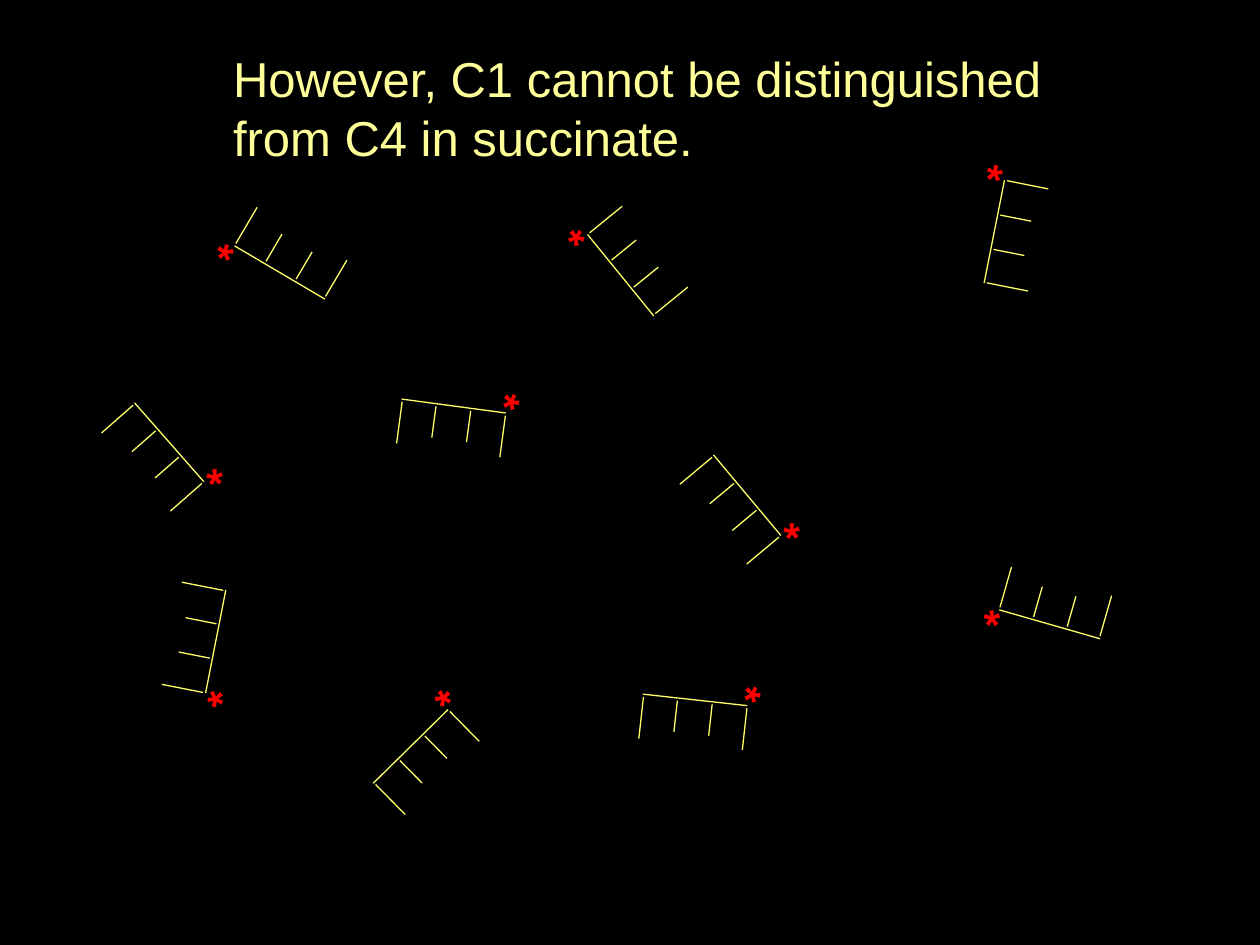
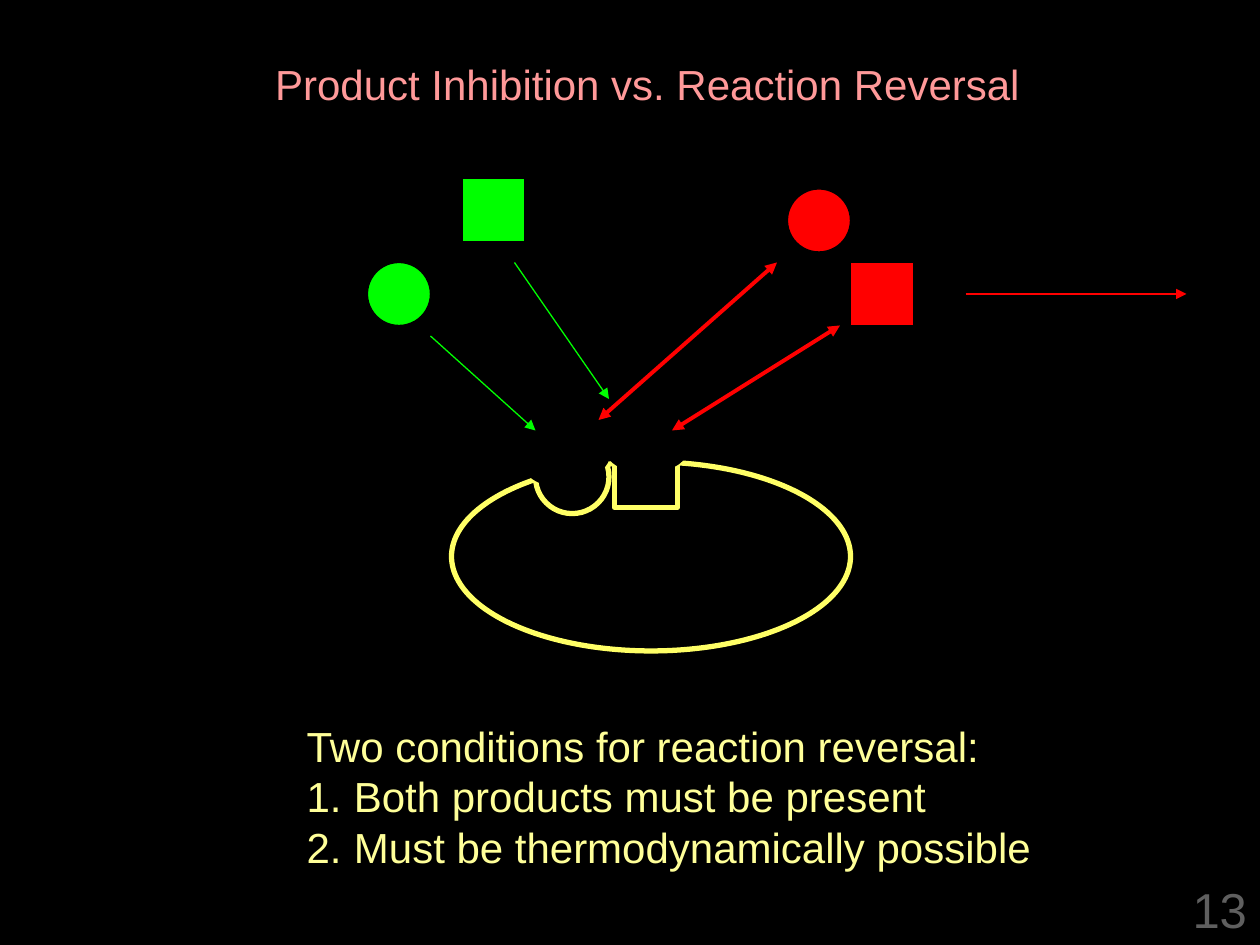
from math import cos, radians, sin

from lxml import etree
from pptx import Presentation
from pptx.dml.color import RGBColor
from pptx.enum import shapes, text
from pptx.oxml.ns import qn
from pptx.util import Pt

# Shared look
FONT = "Arial"
BLACK, YELLOW, PALE_YELLOW = "000000", "FFFF66", "FFFF99"
GREEN, RED, PINK, GREY = "00FF00", "FF0000", "FF9999", "5F5F5F"
OVAL, RECT = shapes.MSO_SHAPE.OVAL, shapes.MSO_SHAPE.RECTANGLE

# Slide 1: succinate molecules as (labelled end x, y, rotation in degrees)
SUCCINATE_TITLE = "However, C1 cannot be distinguished from C4 in succinate."
MOLECULES = [
    (134, 140.5, 300.5), (116.5, 275.25, 138.7), (256, 405.5, 45.4),
    (289, 236, 97.6), (427, 403.25, 96.3), (335.75, 134, 320.9),
    (574, 103, 11.2), (117.5, 396, 191.1), (446.25, 306, 140.1),
    (571, 348.5, 286),
]
BACKBONE = 60
BONDS = [(0, 24), (20, 18), (40, 18), (59.5, 24)]  # place on backbone, length
BOND_GAP, STAR_OFFSET = 1.5, -6
STAR_W, STAR_H = 24, 36

# Slide 2: enzyme, substrates, products and their arrows
REVERSAL_TITLE = "Product Inhibition vs. Reaction Reversal"
CONDITIONS = [
    ("Two conditions for reaction reversal:", False),
    ("Both products must be present", True),
    ("Must be thermodynamically possible", True),
]
PAGE_NUMBER = "13"
ENZYME = [  # shape, box, fill, line, rotation
    (OVAL, (258, 264, 228, 108), None, YELLOW, 0),
    (OVAL, (306, 251.5, 42, 42), None, YELLOW, 0),
    (OVAL, (300, 246, 48, 30), BLACK, BLACK, 348),
    (RECT, (351, 260, 36, 30), None, YELLOW, 0),
    (OVAL, (348.5, 249, 42, 19.5), BLACK, BLACK, 0),
]
LIGAND = 36
LIGANDS = [
    (OVAL, 210, 150, GREEN), (RECT, 264, 102, GREEN),
    (OVAL, 450, 108, RED), (RECT, 486, 150, RED),
]
ARROWS = [  # start, end, colour, width, arrowheads
    ((246, 192), (306, 246), GREEN, 0.75, ("tailEnd",)),
    ((294, 150), (348, 228), GREEN, 0.75, ("tailEnd",)),
    ((444, 150), (342, 240), RED, 2.25, ("headEnd", "tailEnd")),
    ((480, 186), (384, 246), RED, 2.25, ("headEnd", "tailEnd")),
    ((552, 168), (678, 168), RED, 0.75, ("tailEnd",)),
]


def rgb(hex_colour):
    return RGBColor.from_string(hex_colour)


def place(sp, box):
    sp.left, sp.top, sp.width, sp.height = (Pt(v) for v in box)


def write(sp, lines, size, colour, bold=False, wrap=False,
          align=text.PP_ALIGN.LEFT):
    """Fill a text shape; lines is one string or (string, numbered) pairs."""
    tf = sp.text_frame
    tf.word_wrap = wrap
    tf.auto_size = text.MSO_AUTO_SIZE.SHAPE_TO_FIT_TEXT
    tf.vertical_anchor = text.MSO_ANCHOR.TOP
    is_list = not isinstance(lines, str)
    for i, (line, numbered) in enumerate(lines if is_list else [(lines, False)]):
        p = tf.paragraphs[0] if i == 0 else tf.add_paragraph()
        if is_list:
            pPr = p._p.get_or_add_pPr()
            pPr.set("marL", str(Pt(27)))
            pPr.set("indent", str(-Pt(27)))
            if numbered:
                etree.SubElement(pPr, qn("a:buFont"), typeface="+mj-lt")
                etree.SubElement(pPr, qn("a:buAutoNum"), type="arabicPeriod")
            else:
                etree.SubElement(pPr, qn("a:buNone"))
        p.alignment = align
        p.space_before = Pt(0)
        r = p.add_run()
        r.text = line
        r.font.name, r.font.size, r.font.bold = FONT, Pt(size), bold
        r.font.color.rgb = rgb(colour)


def add_text(s, box, lines, size, colour, **fmt):
    sp = s.shapes.add_textbox(*(Pt(v) for v in box))
    write(sp, lines, size, colour, **fmt)
    return sp


def add_line(s, start, end, colour, width=0.75, heads=()):
    c = s.shapes.add_connector(shapes.MSO_CONNECTOR.STRAIGHT,
                               *(Pt(v) for v in (*start, *end)))
    c.line.color.rgb, c.line.width = rgb(colour), Pt(width)
    ln = c.line._get_or_add_ln()
    for head in heads:
        etree.SubElement(ln, qn(f"a:{head}"), type="triangle")
    etree.SubElement(c._element.spPr, qn("a:effectLst"))


def add_shape(s, kind, box, fill, line, width, rotation=0):
    sp = s.shapes.add_shape(kind, *(Pt(v) for v in box))
    sp.shadow.inherit = False
    sp.rotation = rotation
    if fill:
        sp.fill.solid()
        sp.fill.fore_color.rgb = rgb(fill)
    else:
        sp.fill.background()
    sp.line.color.rgb, sp.line.width = rgb(line), Pt(width)


def add_molecule(s, x, y, angle):
    """Draw a four-carbon comb with a star at its labelled end."""
    ca, sa = cos(radians(angle)), sin(radians(angle))

    def at(across, along):
        return x + across * ca - along * sa, y + across * sa + along * ca

    add_line(s, at(0, 0), at(0, BACKBONE), YELLOW)
    for along, length in BONDS:
        add_line(s, at(BOND_GAP, along), at(BOND_GAP + length, along), YELLOW)
    cx, cy = at(STAR_OFFSET, 0)
    box = (cx - STAR_W / 2, cy - STAR_H / 2, STAR_W, STAR_H)
    add_text(s, box, "*", 24, RED, bold=True).rotation = angle


def add_slide(prs, layout, title, box, size, colour, wrap=False):
    s = prs.slides.add_slide(prs.slide_layouts[layout])
    place(s.shapes.title, box)
    write(s.shapes.title, title, size, colour, wrap=wrap)
    return s


def main():
    prs = Presentation()
    prs.slide_width, prs.slide_height = Pt(720), Pt(540)
    background = prs.slide_master.background.fill
    background.solid()
    background.fore_color.rgb = rgb(BLACK)

    # Succinate molecules
    s = add_slide(prs, 5, SUCCINATE_TITLE, (126, 24, 522.75, 75), 28,
                  PALE_YELLOW, wrap=True)
    for molecule in MOLECULES:
        add_molecule(s, *molecule)

    # Product inhibition and reaction reversal
    s = add_slide(prs, 1, REVERSAL_TITLE, (150, 30, 440.5, 36), 24, PINK)
    body = s.placeholders[1]
    place(body, (168, 408, 428.5, 93.5))
    write(body, CONDITIONS, 24, PALE_YELLOW)
    for kind, box, fill, line, rotation in ENZYME:
        add_shape(s, kind, box, fill, line, 3, rotation)
    for kind, x, y, colour in LIGANDS:
        add_shape(s, kind, (x, y, LIGAND, LIGAND), colour, BLACK, 0.75)
    for arrow in ARROWS:
        add_line(s, *arrow)
    add_text(s, (674, 499, 46, 41), PAGE_NUMBER, 28, GREY,
             align=text.PP_ALIGN.CENTER)

    prs.save("out.pptx")


if __name__ == "__main__":
    main()
